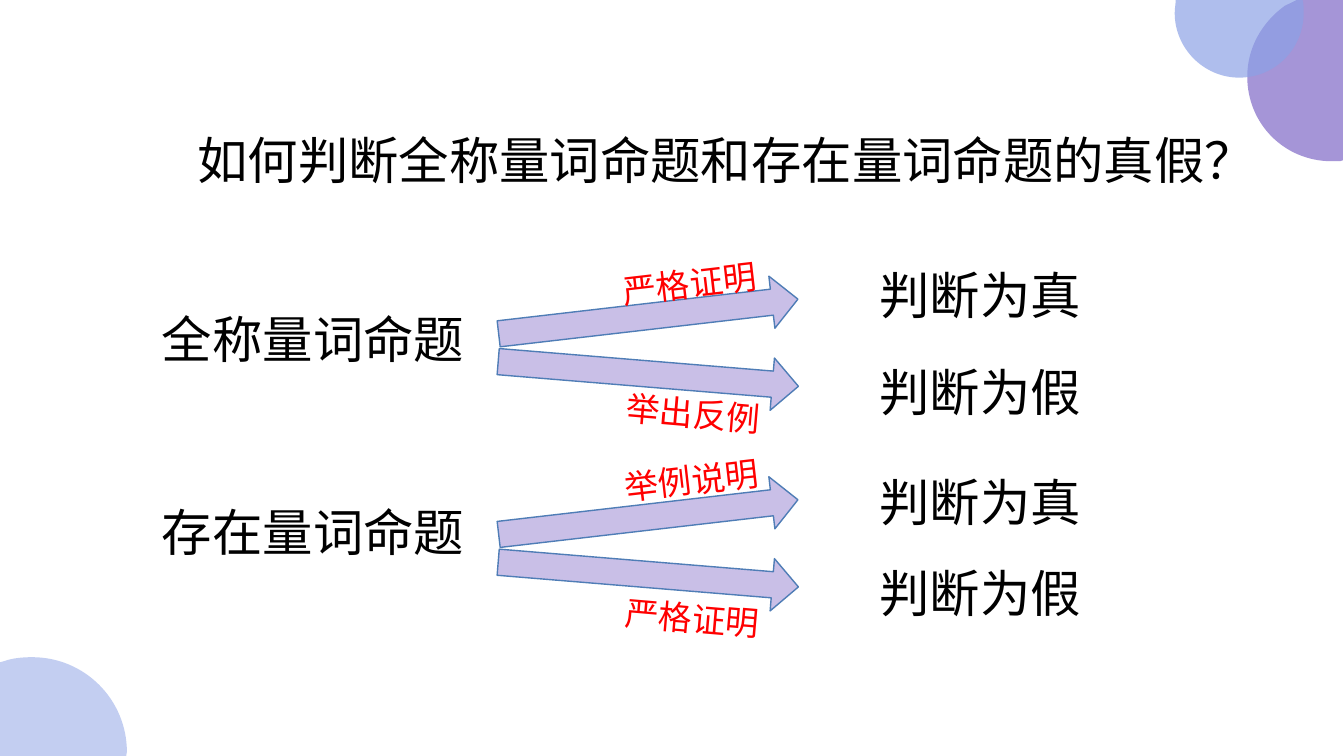
from lxml import etree
from pptx import Presentation
from pptx import util as u
from pptx.dml.color import RGBColor
from pptx.enum import shapes, text
from pptx.oxml.ns import qn

PX = 9144  # EMU per px, 100 px to the inch
W, H = 1334, 750
FONT = "Noto Sans CJK SC"
BLACK, RED = "000000", "FF0000"

# colour, opacity in percent, start, then segments:
# one point is a straight line, three points are a Bezier curve
CIRCLES = [
    ("A595D7", 100, (1287, 0), [
        [(1333, 0)], [(1333, 159)], [(1330, 160)],
        [(1328, 160), (1325, 160), (1322, 160)],
        [(1275, 160), (1238, 123), (1238, 76)],
        [(1238, 47), (1253, 22), (1275, 6)]]),
    ("8CA2E6", 69, (1168, -1), [
        [(1293, -1)], [(1293, 0)],
        [(1294, 4), (1294, 8), (1294, 13)],
        [(1294, 48), (1266, 77), (1230, 77)],
        [(1195, 77), (1166, 48), (1166, 13)],
        [(1166, 8), (1167, 4), (1167, 0)]]),
    ("8CA2E6", 52, (32, 652), [
        [(84, 652), (126, 694), (126, 746)],
        [(125, 752)], [(0, 752)], [(0, 657)], [(4, 656)],
        [(12, 653), (22, 652), (32, 652)]]),
]
TITLE = ("如何判断全称量词命题和存在量词命题的真假？", 186, 123)
# proposition, its top, then per branch:
# method, label left, label top, arrow top, verdict, verdict top
PROPOSITIONS = [
    ("全称量词命题", 301, [
        ("严格证明", 608, 256, 288, "判断为真", 257),
        ("举出反例", 612, 385, 345, "判断为假", 353)]),
    ("存在量词命题", 492, [
        ("举例说明", 610, 451, 487, "判断为真", 462),
        ("严格证明", 611, 588, 544, "判断为假", 553)]),
]
PROPOSITION_LEFT, ARROW_LEFT, VERDICT_LEFT = 151, 494, 863
ARROW_W, ARROW_H = 299, 52
BRANCH_ANGLES = [(-6.6, -6.6), (4.7, 5)]  # arrow, label


def rgb(hex_):
    return RGBColor.from_string(hex_)


def add_circle(s, color, opacity, start, segments):
    """Draw the visible part of a circle, with true curves."""
    builder = s.build_freeform(*start, scale=PX)
    builder.add_line_segments([pt for seg in segments for pt in seg])
    sp = builder.convert_to_shape()
    lines = iter(list(sp._element.iter(qn("a:lnTo"))))
    for segment in segments:
        first, *rest = [next(lines) for _ in segment]
        if rest:
            first.tag = qn("a:cubicBezTo")
        for line in rest:
            first.append(line[0])
            line.getparent().remove(line)
    sp.shadow.inherit = False
    sp.fill.solid()
    sp.fill.fore_color.rgb = rgb(color)
    sp.line.fill.background()
    if opacity < 100:
        clr = sp._element.spPr.find(".//" + qn("a:srgbClr"))
        etree.SubElement(clr, qn("a:alpha"), val=str(opacity * 1000))


def add_text(s, content, left, top, size=36, color=BLACK, angle=0):
    """Add one line in a box as wide as its full-width characters."""
    width = round(len(content) * size * 100 / 72) + 20
    height = 70 if size == 36 else 50
    sp = s.add_textbox(left * PX, top * PX, width * PX, height * PX)
    sp.rotation = angle
    tf = sp.text_frame
    tf.word_wrap = False
    tf.auto_size = text.MSO_AUTO_SIZE.SHAPE_TO_FIT_TEXT
    r = tf.paragraphs[0].add_run()
    r.text = content
    for name, value in {"size": u.Pt(size), "name": FONT}.items():
        setattr(r.font, name, value)
    r.font.color.rgb = rgb(color)
    etree.SubElement(r.font._element, qn("a:ea"), typeface=FONT)


def add_arrow(s, top, angle):
    sp = s.add_shape(shapes.MSO_SHAPE.RIGHT_ARROW, ARROW_LEFT * PX,
                     top * PX, ARROW_W * PX, ARROW_H * PX)
    sp.shadow.inherit = False
    sp.rotation = angle
    sp.fill.solid()
    sp.fill.fore_color.rgb = rgb("C9BFE7")
    sp.line.color.rgb = rgb("4F7DB6")
    sp.line.width = u.Pt(1)


def main():
    prs = Presentation()
    prs.slide_width, prs.slide_height = W * PX, H * PX
    s = prs.slides.add_slide(prs.slide_layouts[6]).shapes
    for circle in CIRCLES:
        add_circle(s, *circle)
    add_text(s, *TITLE)
    for proposition, top, branches in PROPOSITIONS:
        add_text(s, proposition, PROPOSITION_LEFT, top)
        for branch, angles in zip(branches, BRANCH_ANGLES):
            method, left, label_top, arrow_top, verdict, verdict_top = branch
            arrow_angle, label_angle = angles
            add_arrow(s, arrow_top, arrow_angle)
            add_text(s, verdict, VERDICT_LEFT, verdict_top)
            add_text(s, method, left, label_top, 24, RED, label_angle)
    prs.save("out.pptx")


if __name__ == "__main__":
    main()
